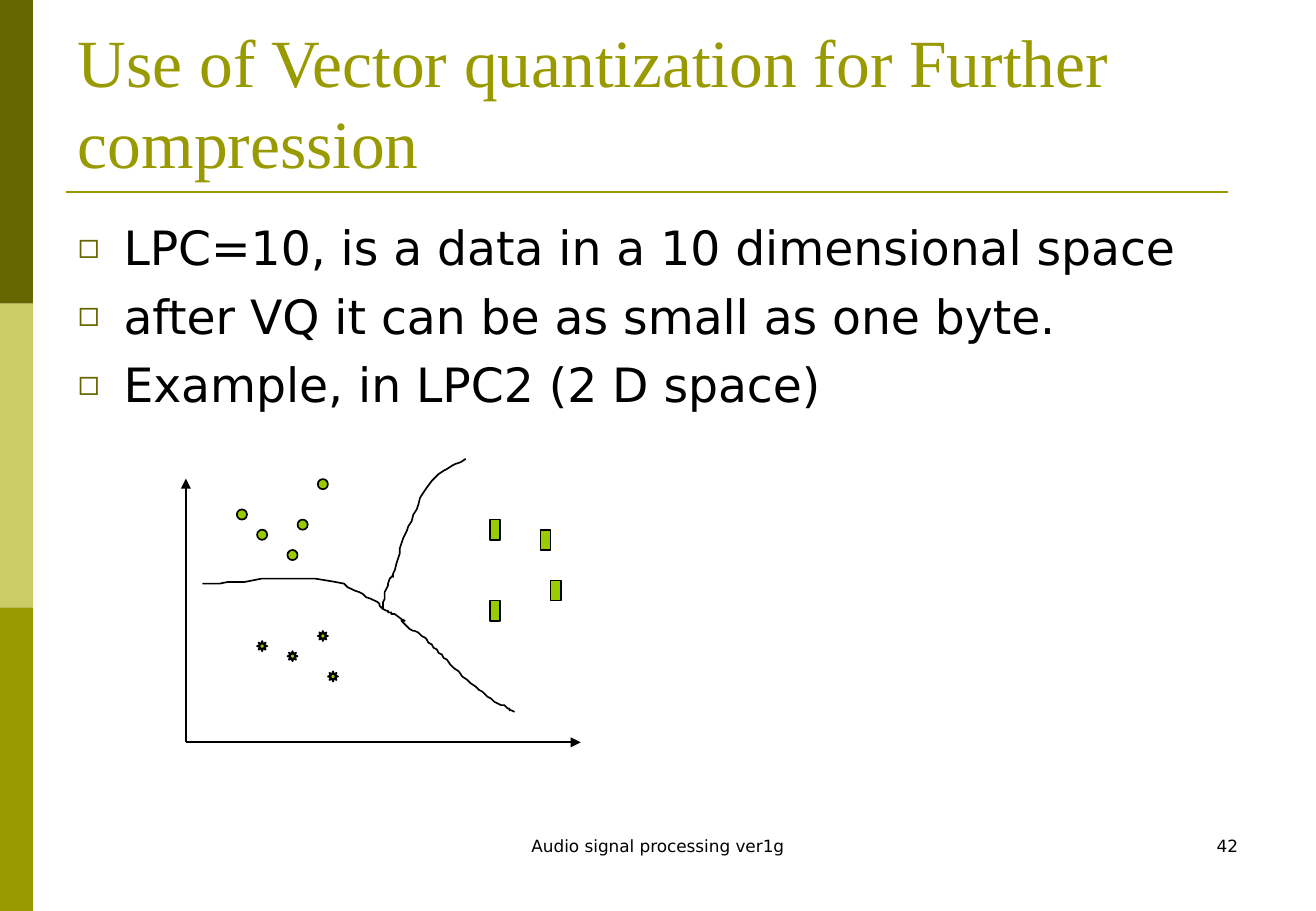
import pptx
import pptx.util
import pptx.dml.color
import pptx.enum.shapes
import pptx.enum.text
import pptx.oxml

Pt = pptx.util.Pt
MSO_SHAPE = pptx.enum.shapes.MSO_SHAPE
PP_ALIGN = pptx.enum.text.PP_ALIGN
NAMESPACE = 'xmlns:a="http://schemas.openxmlformats.org/drawingml/2006/main"'
COLORS = {"dark": "666600", "pale": "CCCC66", "olive": "999900",
          "marker": "99CC00", "black": "000000"}
BODY_FONT = "DejaVu Sans"


def color(name):
    return pptx.dml.color.RGBColor.from_string(COLORS[name])


def add_run(paragraph, text, font_name, size, color_name):
    run = paragraph.add_run()
    run.text = text
    run.font.name = font_name
    run.font.size = Pt(size)
    run.font.color.rgb = color(color_name)


presentation = pptx.Presentation()
presentation.slide_width = Pt(780)
presentation.slide_height = Pt(540)
slide = presentation.slides.add_slide(presentation.slide_layouts[1])
shapes = slide.shapes

# Side bars
for index, name in enumerate(["dark", "pale", "olive"]):
    bar = shapes.add_shape(MSO_SHAPE.RECTANGLE, Pt(0), Pt(180 * index), Pt(19.5), Pt(180))
    bar.shadow.inherit = False
    bar.fill.solid()
    bar.fill.fore_color.rgb = color(name)
    bar.line.fill.background()

# Title
title = shapes.title
title.left, title.top, title.width, title.height = Pt(39), Pt(21.6), Pt(702), Pt(90)
title.text_frame.auto_size = pptx.enum.text.MSO_AUTO_SIZE.NONE
title.text_frame.vertical_anchor = pptx.enum.text.MSO_ANCHOR.BOTTOM
paragraph = title.text_frame.paragraphs[0]
paragraph.alignment = PP_ALIGN.LEFT
add_run(paragraph, "Use of Vector quantization for Further compression",
        "Times New Roman", 40, "olive")

# Bullet list
body = slide.placeholders[1]
body.left, body.top, body.width, body.height = Pt(39), Pt(126), Pt(702), Pt(356.4)
body.text_frame.auto_size = pptx.enum.text.MSO_AUTO_SIZE.NONE
bullets = ["LPC=10, is a data in a 10 dimensional space",
           "after VQ it can be as small as one byte.",
           "Example, in LPC2 (2 D space)"]
for index, text in enumerate(bullets):
    paragraph = body.text_frame.add_paragraph() if index else body.text_frame.paragraphs[0]
    properties = paragraph._p.get_or_add_pPr()
    properties.set("marL", str(Pt(27)))
    properties.set("indent", str(Pt(-27)))
    for bullet_xml in [
        f'<a:buClr {NAMESPACE}><a:srgbClr val="{COLORS["dark"]}"/></a:buClr>',
        f'<a:buSzPct {NAMESPACE} val="75000"/>',
        f'<a:buChar {NAMESPACE} char="◻"/>',
    ]:
        properties.append(pptx.oxml.parse_xml(bullet_xml))
    paragraph.space_before = Pt(7 if index else 0)
    add_run(paragraph, text, BODY_FONT, 28, "black")

# Title rule and the two axes
lines = [
    ((39, 113.8), (728, 113.8), "olive", 1.5, False),
    ((110.2, 440), (110.2, 283.7), "black", 1, True),
    ((110.2, 440), (344.2, 440), "black", 1, True),
]
for start, end, name, width, has_arrow in lines:
    connector = shapes.add_connector(
        pptx.enum.shapes.MSO_CONNECTOR.STRAIGHT, *map(Pt, start + end))
    connector.line.color.rgb = color(name)
    connector.line.width = Pt(width)
    if has_arrow:
        connector.line._get_or_add_ln().append(
            pptx.oxml.parse_xml(f'<a:tailEnd {NAMESPACE} type="triangle"/>'))
    connector._element.spPr.append(pptx.oxml.parse_xml(f"<a:effectLst {NAMESPACE}/>"))

# Data points of the three clusters
clusters = [
    (MSO_SHAPE.OVAL, 6,
     [(140.4, 302), (152.4, 314), (176.4, 308), (170.4, 326), (188.4, 284)]),
    (MSO_SHAPE.RECTANGLE, 12,
     [(290.4, 308), (320.4, 314), (326.4, 344), (290.4, 356)]),
    (MSO_SHAPE.SUN, 6,
     [(152.4, 380), (170.4, 386), (194.4, 398), (188.4, 374)]),
]
for shape_type, height, positions in clusters:
    for left, top in positions:
        marker = shapes.add_shape(shape_type, Pt(left), Pt(top), Pt(6), Pt(height))
        marker.shadow.inherit = False
        marker.fill.solid()
        marker.fill.fore_color.rgb = color("marker")
        marker.line.color.rgb = color("black")
        marker.line.width = Pt(1)

# Cluster boundaries: a start point, then three control points per Bezier segment
boundaries = [
    [(119.5, 346.3),
     (133.2, 345.6), (146.2, 344.9), (159.8, 342.7),
     (173.5, 343.4), (190.1, 342), (203.8, 346.3),
     (209.5, 349.9), (216, 352.8), (221.8, 355.7),
     (229, 359.3), (221.8, 357.1), (229, 362.2),
     (230.4, 362.9), (232.6, 363.6), (234, 364.3),
     (248.4, 373.7), (229.7, 362.9), (241.9, 371.5),
     (245.5, 374.4), (249.8, 376.6), (252.7, 378.7),
     (257, 383.8), (259.9, 387.4), (265, 391),
     (270, 398.2), (277.9, 403.2), (284.4, 409),
     (288.7, 412.6), (293, 416.9), (298.8, 418.3),
     (303.1, 421.2), (301, 419.8), (304.6, 421.9)],
    [(226.8, 360.7),
     (227.5, 355.7), (228.2, 349.9), (230.4, 345.6),
     (234, 336.2), (231.8, 346.3), (234, 337.7),
     (236.2, 329), (238.3, 320.4), (241.9, 312.5),
     (247.7, 302.4), (247, 294.5), (255.6, 285.1),
     (261.4, 279.4), (268.6, 275.8), (275.8, 272.2)],
]
STEPS = 8
for controls in boundaries:
    vertices = []
    for first in range(0, len(controls) - 1, 3):
        segment = controls[first:first + 4]
        for step in range(1, STEPS + 1):
            t = step / STEPS
            weights = [(1 - t) ** 3, 3 * t * (1 - t) ** 2, 3 * t ** 2 * (1 - t), t ** 3]
            vertices.append(tuple(
                sum(weight * point[axis] for weight, point in zip(weights, segment))
                for axis in (0, 1)))
    builder = shapes.build_freeform(*controls[0], scale=float(Pt(1)))
    builder.add_line_segments(vertices, close=False)
    boundary = builder.convert_to_shape()
    boundary.shadow.inherit = False
    boundary.fill.background()
    boundary.line.color.rgb = color("black")
    boundary.line.width = Pt(1)

# Footer and page number
footers = [
    ("Audio signal processing ver1g", 266.4, 247, PP_ALIGN.CENTER),
    ("42", 558.7, 182.2, PP_ALIGN.RIGHT),
]
for text, left, width, alignment in footers:
    footer = shapes.add_textbox(Pt(left), Pt(491.8), Pt(width), Pt(36))
    footer.text_frame.word_wrap = True
    paragraph = footer.text_frame.paragraphs[0]
    paragraph.alignment = alignment
    add_run(paragraph, text, BODY_FONT, 10, "black")

presentation.save("out.pptx")
